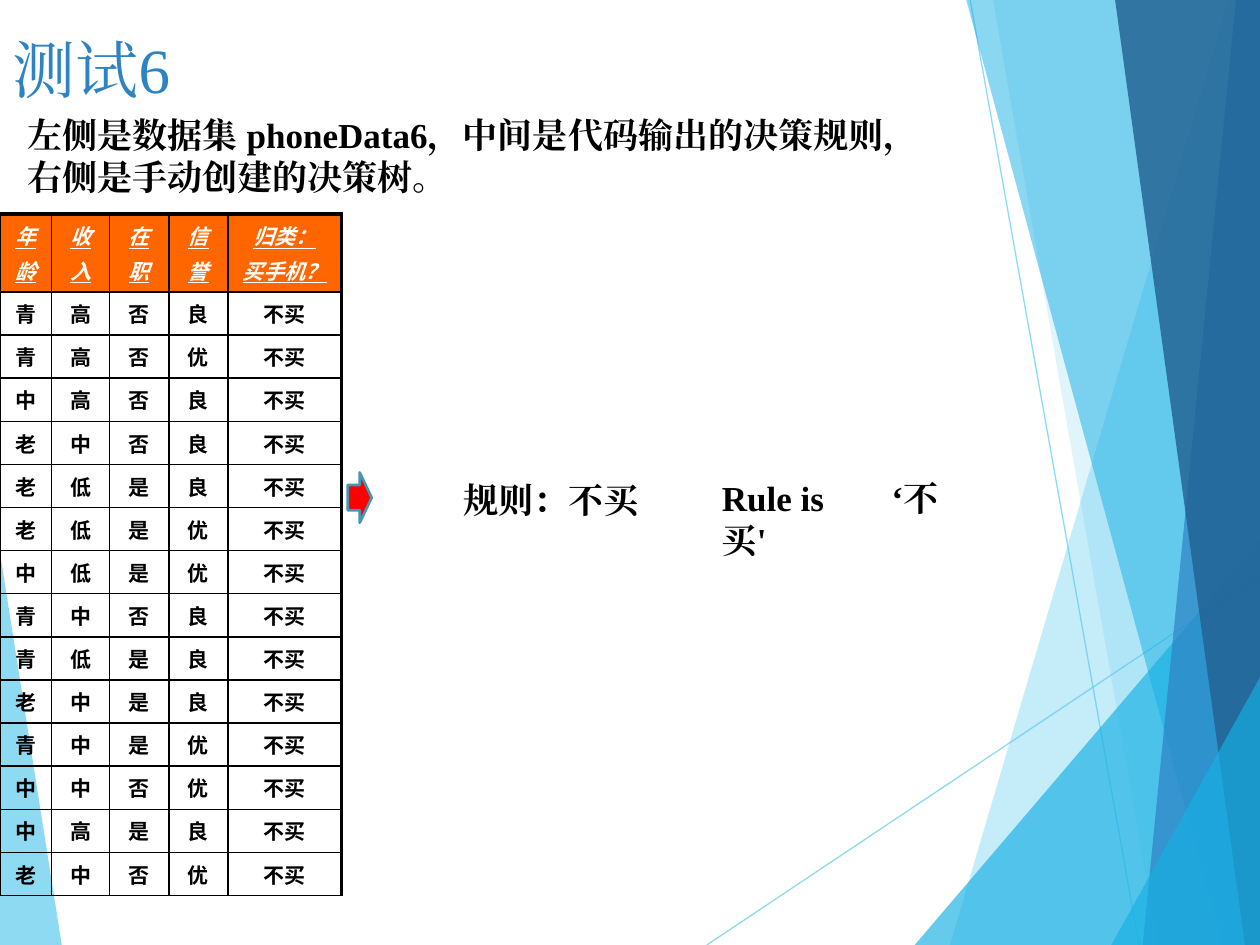
"""Build the slide on decision rules learned from the phoneData6 data set."""
from typing import NamedTuple

from lxml.etree import SubElement
from pptx import Presentation
from pptx.dml.color import RGBColor
from pptx.enum.shapes import MSO_CONNECTOR as Connector, MSO_SHAPE as Preset
from pptx.enum.text import MSO_ANCHOR as Anchor, MSO_AUTO_SIZE as AutoSize, PP_ALIGN as Align
from pptx.oxml.ns import qn
from pptx.util import Pt

SERIF, SANS = "Times New Roman", "Arial"
BLACK, WHITE, ORANGE, RED = "000000", "FFFFFF", "FF6600", "FF0000"
SKY, CYAN, BLUE, NAVY, TEAL = "5FCBEF", "17B0E4", "2E83C3", "226292", "4696B1"
WIDTH, HEIGHT = 720, 540


class Facet(NamedTuple):
    corners: list
    color: str
    opacity: int


class Ray(NamedTuple):
    start: tuple
    end: tuple


class Note(NamedTuple):
    text: str
    left: float
    top: float
    width: float
    height: float
    tab: float = 0


LEFT_FACET = Facet([(0, 316), (35.3, HEIGHT), (0, HEIGHT)], SKY, 70)
RAYS = [Ray((403.9, HEIGHT), (WIDTH, 329)), Ray((554.4, 0), (650.9, HEIGHT))]
RIGHT_FACETS = [
    Facet([(702, 0), (542.9, HEIGHT), (WIDTH, HEIGHT), (WIDTH, 0)], SKY, 36),
    Facet([(567.4, 0), (661.7, HEIGHT), (WIDTH, HEIGHT), (WIDTH, 0)], SKY, 20),
    Facet([(522.7, HEIGHT), (WIDTH, 308.9), (WIDTH, HEIGHT)], CYAN, 66),
    Facet([(552.2, 0), (698.4, HEIGHT), (WIDTH, HEIGHT), (WIDTH, 0)], CYAN, 50),
    Facet([(706.3, 0), (653, HEIGHT), (WIDTH, HEIGHT), (WIDTH, 0)], BLUE, 70),
    Facet([(637.2, 0), (711.4, HEIGHT), (WIDTH, HEIGHT), (WIDTH, 0)], NAVY, 82),
    Facet([(635, HEIGHT), (WIDTH, 387), (WIDTH, HEIGHT)], CYAN, 66),
]

HEADERS = ["年\n龄", "收\n入", "在\n职", "信\n誉", "归类：\n买手机？"]
PEOPLE = ["青高否良", "青高否优", "中高否良", "老中否良", "老低是良", "老低是优", "中低是优",
          "青中否良", "青低是良", "老中是良", "青中是优", "中中否优", "中高是良", "老中否优"]
COLUMN_WIDTHS = [29.5, 33.1, 33.9, 33.9, 64.7]
HEADER_HEIGHT, ROW_HEIGHT = 40.3, 23.8

NOTES = [
    Note("规则：不买", 257.8, 270, 118.8, 31.7),
    Note("左侧是数据集 phoneData6，中间是代码输出的决策规则，右侧是手动创建的决策树。",
         8.6, 61.2, 521.3, 55.4),
    Note("Rule is\t‘不买'", 405.4, 268.6, 158.4, 31.7, tab=97),
]


def rgb(color: str) -> RGBColor:
    return RGBColor.from_string(color)


def set_opacity(properties, percent: int) -> None:
    color = next(properties.iter(qn("a:srgbClr")))
    SubElement(color, qn("a:alpha"), val=str(percent * 1000))


def style(paragraph, size: float, color: str, face: str = SERIF, bold: bool = False) -> None:
    font = paragraph.font
    font.size, font.name, font.bold = Pt(size), face, bold
    font.color.rgb = rgb(color)


def use_east_asian(paragraph, face: str) -> None:
    defaults = paragraph._p.pPr.find(qn("a:defRPr"))
    SubElement(defaults, qn("a:ea"), typeface=face)


def draw_facet(slide, facet: Facet) -> None:
    start, *others = [(Pt(x), Pt(y)) for x, y in facet.corners]
    builder = slide.shapes.build_freeform(*start)
    builder.add_line_segments(others, close=True)
    shape = builder.convert_to_shape()
    shape.shadow.inherit = False
    shape.fill.solid()
    shape.fill.fore_color.rgb = rgb(facet.color)
    shape.line.fill.background()
    set_opacity(shape._element.spPr, facet.opacity)


def draw_ray(slide, ray: Ray) -> None:
    ends = [Pt(value) for value in ray.start + ray.end]
    connector = slide.shapes.add_connector(Connector.STRAIGHT, *ends)
    connector.line.color.rgb = rgb(SKY)
    connector.line.width = Pt(0.75)
    set_opacity(connector._element.spPr, 70)
    SubElement(connector._element.spPr, qn("a:effectLst"))


def draw_arrow(slide) -> None:
    arrow = slide.shapes.add_shape(Preset.RIGHT_ARROW, Pt(198.7), Pt(270), Pt(13.7), Pt(28.8))
    arrow.shadow.inherit = False
    arrow.fill.solid()
    arrow.fill.fore_color.rgb = rgb(RED)
    arrow.line.color.rgb = rgb(TEAL)
    arrow.line.width = Pt(1.5)


def set_borders(cell, widths: dict) -> None:
    properties = cell._tc.get_or_add_tcPr()
    for position, (side, width) in enumerate(widths.items()):
        border = properties.makeelement(qn(f"a:ln{side}"), {"w": str(Pt(width))})
        fill = SubElement(border, qn("a:solidFill"))
        SubElement(fill, qn("a:srgbClr"), val=BLACK)
        properties.insert(position, border)


def fill_cell(cell, text: str, is_header: bool, is_last: bool) -> None:
    cell.text = text
    cell.vertical_anchor = Anchor.MIDDLE
    if is_header:
        cell.fill.solid()
        cell.fill.fore_color.rgb = rgb(ORANGE)
    else:
        cell.fill.background()
    for position, paragraph in enumerate(cell.text_frame.paragraphs):
        paragraph.alignment = Align.CENTER
        if position:
            paragraph.space_before = Pt(2.4)
        style(paragraph, 12, WHITE if is_header else BLACK, SERIF if is_header else SANS, True)
        paragraph.font.italic = paragraph.font.underline = is_header
    set_borders(cell, {"L": 1, "R": 2.25 if is_last else 1, "T": 2.25 if is_header else 1, "B": 1})


def draw_data_set(slide) -> None:
    rows = [HEADERS] + [[*person, "不买"] for person in PEOPLE]
    table = slide.shapes.add_table(
        len(rows), len(HEADERS), Pt(0), Pt(122.4), Pt(sum(COLUMN_WIDTHS)),
        Pt(HEADER_HEIGHT + ROW_HEIGHT * len(PEOPLE))).table
    table.first_row = table.horz_banding = False
    for column, width in zip(table.columns, COLUMN_WIDTHS):
        column.width = Pt(width)
    for r, texts in enumerate(rows):
        table.rows[r].height = Pt(ROW_HEIGHT if r else HEADER_HEIGHT)
        for c, text in enumerate(texts):
            fill_cell(table.cell(r, c), text, r == 0, c == len(HEADERS) - 1)


def draw_note(slide, note: Note) -> None:
    box = slide.shapes.add_textbox(*(Pt(value) for value in note[1:5]))
    frame = box.text_frame
    frame.word_wrap = True
    frame.auto_size = AutoSize.SHAPE_TO_FIT_TEXT
    frame.text = note.text
    paragraph = frame.paragraphs[0]
    if note.tab:
        tabs = SubElement(paragraph._p.get_or_add_pPr(), qn("a:tabLst"))
        SubElement(tabs, qn("a:tab"), pos=str(Pt(note.tab)), algn="l")
    style(paragraph, 20, BLACK, bold=True)
    use_east_asian(paragraph, SERIF)


def write_title(slide) -> None:
    title = slide.shapes.title
    title.left, title.top, title.width, title.height = Pt(0), Pt(13.7), Pt(619.2), Pt(38.2)
    frame = title.text_frame
    frame.text = "测试6"
    frame.vertical_anchor = Anchor.TOP
    frame.auto_size = AutoSize.NONE
    paragraph = frame.paragraphs[0]
    paragraph.alignment = Align.LEFT
    style(paragraph, 36, BLUE)
    use_east_asian(paragraph, SERIF)


def main() -> None:
    deck = Presentation()
    deck.slide_width, deck.slide_height = Pt(WIDTH), Pt(HEIGHT)
    slide = deck.slides.add_slide(deck.slide_layouts[5])
    write_title(slide)
    draw_facet(slide, LEFT_FACET)
    for ray in RAYS:
        draw_ray(slide, ray)
    for facet in RIGHT_FACETS:
        draw_facet(slide, facet)
    draw_arrow(slide)
    draw_data_set(slide)
    for note in NOTES:
        draw_note(slide, note)
    deck.save("out.pptx")


if __name__ == "__main__":
    main()
